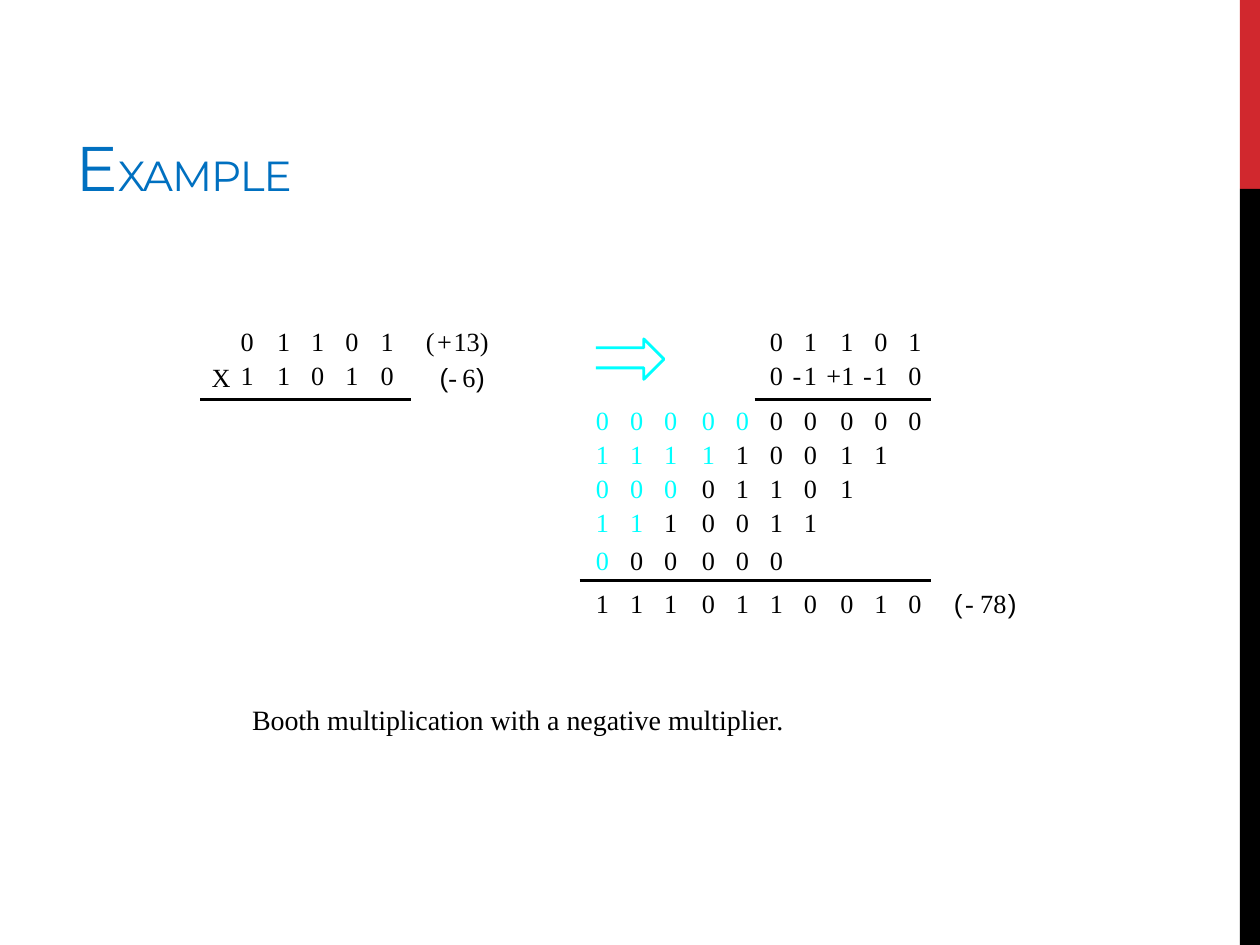
import pptx
import pptx.dml.color
import pptx.enum.shapes
import pptx.enum.text
import pptx.oxml
import pptx.util

Inches, Pt = pptx.util.Inches, pptx.util.Pt
RGB = pptx.dml.color.RGBColor.from_string
THEME = {
    "ink": "000000", "sign": "00FFFF", "title": "0070C0", "red": "D1282E",
    "serif": "Times New Roman", "sans": "Arial", "heading": "Montserrat",
    "cap": 36, "small_cap": 24, "caption": 16, "digit": 15, "rule": 1.63,
}
WIDTHS = {"(": 0.07, ")": 0.07, "-": 0.07, "X": 0.15, "13": 0.23, "78": 0.23, "+1": 0.24}
DIGIT_W, ROW_H = 0.12, 0.25

LEFT_COLS = [1.91, 2.2, 2.47, 2.74, 3.02]
RIGHT_COLS = [4.73, 5, 5.27, 5.57, 5.84, 6.11, 6.38, 6.67, 6.94, 7.21]
TOP, SECOND, SIGN_ROW, RESULT = 2.58, 2.85, 2.87, 4.66

prs = pptx.Presentation()
prs.slide_width, prs.slide_height = Inches(10), Inches(7.5)
s = prs.slides.add_slide(prs.slide_layouts[5])


def add_text(text, x, y, w, h=ROW_H, color="ink", font="serif", size="digit"):
    sp = s.shapes.add_textbox(Inches(x), Inches(y), Inches(w), Inches(h))
    tf = sp.text_frame
    tf.margin_left = tf.margin_right = tf.margin_top = tf.margin_bottom = 0
    tf.word_wrap = False
    tf.auto_size = pptx.enum.text.MSO_AUTO_SIZE.SHAPE_TO_FIT_TEXT
    p = tf.paragraphs[0]
    p.text = text
    p.font.name, p.font.size = THEME[font], Pt(THEME[size])
    p.font.color.rgb = RGB(THEME[color])


bar_x = 0.984 * prs.slide_width
red_h = 0.2 * prs.slide_height
for y, h, color in [(0, red_h, "red"), (red_h, prs.slide_height - red_h, "ink")]:
    sp = s.shapes.add_shape(pptx.enum.shapes.MSO_SHAPE.RECTANGLE,
                            int(bar_x), int(y), int(prs.slide_width - bar_x), int(h))
    sp.shadow.inherit = False
    sp.fill.solid()
    sp.fill.fore_color.rgb = RGB(THEME[color])
    sp.line.fill.background()

title = s.shapes.title
title.left, title.top, title.width, title.height = map(Inches, (0.5, 0.17, 6.33, 1.5))
tf = title.text_frame
tf.vertical_anchor = pptx.enum.text.MSO_ANCHOR.BOTTOM
tf.auto_size = pptx.enum.text.MSO_AUTO_SIZE.NONE
p = tf.paragraphs[0]
p.alignment = pptx.enum.text.PP_ALIGN.LEFT
for text, size in [("E", "cap"), ("XAMPLE", "small_cap")]:
    r = p.add_run()
    r.text = text
    r.font.name, r.font.size = THEME["heading"], Pt(THEME[size])
    r.font.color.rgb = RGB(THEME["title"])
    r.font._element.set("spc", "-60")

add_text("Booth multiplication with a negative multiplier.", 2, 5.58, 4.51, 0.27, size="caption")

digit_rows = [
    (LEFT_COLS, TOP, "01101", 0),
    (LEFT_COLS, SECOND, "11010", 0),
    (RIGHT_COLS[5:], TOP, "01101", 0),
    (RIGHT_COLS[5:], SECOND, "01 10", 0),
    (RIGHT_COLS, 3.21, "0000000000", 5),
    (RIGHT_COLS, 3.48, "111110011", 4),
    (RIGHT_COLS, 3.75, "00001101", 3),
    (RIGHT_COLS, 4.02, "1110011", 2),
    (RIGHT_COLS, 4.32, "000000", 1),
    (RIGHT_COLS, RESULT, "1110110010", 0),
]
for cols, y, digits, extended in digit_rows:
    for i, (x, digit) in enumerate(zip(cols, digits)):
        if digit != " ":
            add_text(digit, x, y, DIGIT_W, color="sign" if i < extended else "ink")

marks = [
    (TOP, "serif", [("(", 3.38), ("+", 3.47), ("13", 3.6), (")", 3.81)]),
    (SIGN_ROW, "serif", [("X", 1.68), ("-", 3.56), ("6", 3.67)]),
    (SIGN_ROW, "sans", [("(", 3.49), (")", 3.78)]),
    (SECOND, "serif", [("-", 6.29), ("+1", 6.56), ("-", 6.85)]),
    (RESULT, "serif", [("-", 7.66), ("78", 7.78)]),
    (RESULT, "sans", [("(", 7.57), (")", 8)]),
]
for y, font, items in marks:
    for text, x in items:
        add_text(text, x, y, WIDTHS.get(text, DIGIT_W), font=font)

for x1, x2, y in [(3.26, 1.59, 3.17), (5.99, 7.39, 3.17), (4.6, 7.39, 4.61)]:
    rule = s.shapes.add_connector(pptx.enum.shapes.MSO_CONNECTOR.STRAIGHT,
                                  Inches(x1), Inches(y), Inches(x2), Inches(y))
    rule.line.color.rgb = RGB(THEME["ink"])
    rule.line.width = Pt(THEME["rule"])
    rule._element.spPr.append(pptx.oxml.parse_xml(
        '<a:effectLst xmlns:a="http://schemas.openxmlformats.org/drawingml/2006/main"/>'))

arrow_points = [(473, 276), (511, 276), (511, 269), (527, 285),
                (511, 301), (511, 292), (473, 292)]
builder = s.shapes.build_freeform(*arrow_points[0], scale=Inches(0.01))
builder.add_line_segments(arrow_points[1:], close=False)
arrow = builder.convert_to_shape()
arrow.shadow.inherit = False
arrow.fill.background()
arrow.line.color.rgb = RGB(THEME["sign"])
arrow.line.width = Pt(THEME["rule"])

prs.save("out.pptx")
